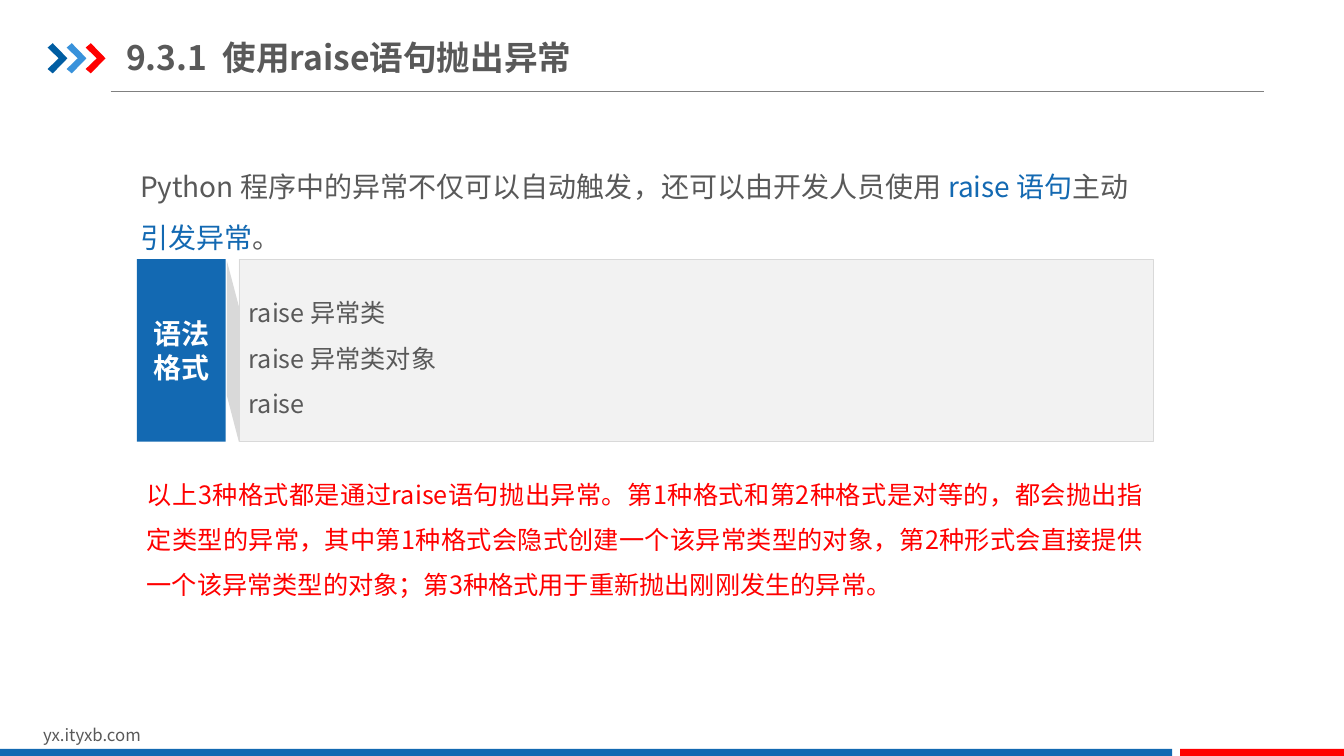
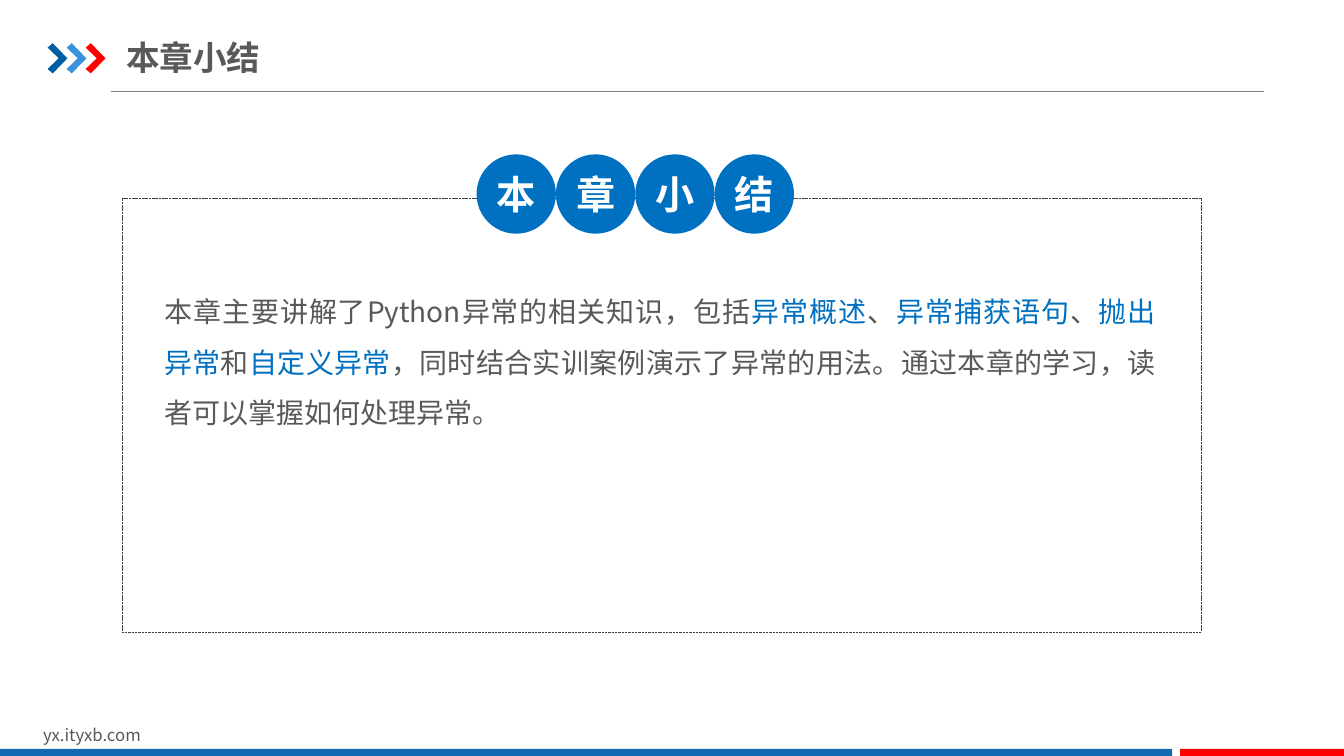
from dataclasses import dataclass

from lxml import etree
from pptx import Presentation
from pptx import util as u
from pptx.dml.color import RGBColor
from pptx.enum import dml, shapes, text
from pptx.oxml import ns


@dataclass(frozen=True)
class Theme:
    """Colours, font and type sizes that the slides share."""
    font: str = "Noto Sans CJK SC"
    blue: str = "1369B2"
    azure: str = "0070C0"
    navy: str = "005DA2"
    sky: str = "3992DB"
    red: str = "FF0000"
    ink: str = "595959"
    white: str = "FFFFFF"
    dark: str = "404040"
    rule: str = "808080"
    pale: str = "F2F2F2"
    edge: str = "D9D9D9"
    foot: int = 12
    code: int = 18
    body: int = 20
    title: int = 24
    badge: int = 28


T = Theme()
RECT = shapes.MSO_SHAPE.RECTANGLE
OVAL = shapes.MSO_SHAPE.OVAL
LEFT, MID, JUST = text.PP_ALIGN.LEFT, text.PP_ALIGN.CENTER, text.PP_ALIGN.JUSTIFY


def rgb(color):
    """Turn a hex string into a colour."""
    return RGBColor.from_string(color)


def write(shape, paras, size=T.body, color=T.ink, bold=False, align=LEFT,
          space=1.0, middle=False, pad=(0.25, 0.13)):
    """Fill a shape with paragraphs, each a list of strings or (string, colour)."""
    frame = shape.text_frame
    frame.word_wrap = True
    frame.margin_left = frame.margin_right = u.Cm(pad[0])
    frame.margin_top = frame.margin_bottom = u.Cm(pad[1])
    anchor = text.MSO_ANCHOR
    frame.vertical_anchor = anchor.MIDDLE if middle else anchor.TOP
    for i, runs in enumerate(paras):
        para = frame.add_paragraph() if i else frame.paragraphs[0]
        para.alignment, para.line_spacing = align, space
        for item in runs:
            words, tint = (item, color) if isinstance(item, str) else item
            run = para.add_run()
            run.text = words
            font = run.font
            font.name, font.size, font.bold = T.font, u.Pt(size), bold
            font.color.rgb = rgb(tint)
            east = etree.SubElement(run._r.get_or_add_rPr(), ns.qn("a:ea"))
            east.set("typeface", T.font)


def label(slide, box, paras, **style):
    """Add a text box."""
    write(slide.shapes.add_textbox(*map(u.Cm, box)), paras, **style)


def paint(shape, fill=None, line=None):
    """Set fill and thin outline, and drop the shadow."""
    shape.shadow.inherit = False
    if fill:
        shape.fill.solid()
        shape.fill.fore_color.rgb = rgb(fill)
    else:
        shape.fill.background()
    if line:
        shape.line.color.rgb = rgb(line)
        shape.line.width = u.Pt(0.25)
    else:
        shape.line.fill.background()
    return shape


def block(slide, box, fill=None, line=None, kind=RECT):
    """Add a preset shape."""
    return paint(slide.shapes.add_shape(kind, *map(u.Cm, box)), fill, line)


def outline(slide, points, fill):
    """Add a closed polygon."""
    first, *rest = [(u.Cm(x), u.Cm(y)) for x, y in points]
    pen = slide.shapes.build_freeform(*first)
    pen.add_line_segments(rest, close=True)
    return paint(pen.convert_to_shape(), fill)


def rule(slide, *ends):
    """Add the line below the title."""
    line = slide.shapes.add_connector(shapes.MSO_CONNECTOR.STRAIGHT,
                                      *map(u.Cm, ends))
    line.line.color.rgb = rgb(T.rule)
    line.line.width = u.Pt(0.75)
    etree.SubElement(line._element.spPr, ns.qn("a:effectLst"))


def page(deck, title):
    """Add a slide with the title, arrows, rule and footer."""
    slide = deck.slides.add_slide(deck.slide_layouts[6])
    rule(slide, 2.79, 2.31, 31.85, 2.31)
    arrow = [(0, 0.11), (0.13, 0), (0.5, 0.38), (0.13, 0.76), (0, 0.65), (0.28, 0.38)]
    for i, color in enumerate((T.navy, T.sky, T.red)):
        outline(slide, [(1.2 + 0.48 * i + x, 1.09 + y) for x, y in arrow], color)
    label(slide, (0.84, 18.14, 8.08, 0.76), [["yx.ityxb.com"]], size=T.foot)
    block(slide, (0, 18.87, 29.54, 0.23), T.blue)
    block(slide, (29.74, 18.87, 4.13, 0.23), T.red)
    label(slide, (3.18, 0.74, 15.75, 1.4), [[title]], size=T.title, bold=True,
          middle=True, pad=(0, 0.18))
    return slide


def syntax(slide, top, tall, lines):
    """Add the blue tab, the fold and the panel of syntax forms."""
    panel = block(slide, (6.02, top, 23.04, tall), T.pale, T.edge)
    write(panel, lines, size=T.code, space=1.5, middle=True)
    tab = block(slide, (3.45, top, 2.24, tall), T.blue)
    write(tab, [["语法"], ["格式"]], color=T.white, bold=True, align=MID, middle=True)
    low = top + tall
    outline(slide, [(6.02, top + 1.19), (6.02, low), (5.72, low - 1.15),
                    (5.72, top + 0.05)], T.edge)


def badges(slide, left, top, size, word):
    """Add a row of touching circles, one character each."""
    for i, char in enumerate(word):
        disc = block(slide, (left + size * i, top, size, size), T.azure, kind=OVAL)
        write(disc, [[char]], size=T.badge, color=T.white, bold=True, align=MID,
              middle=True, pad=(0, 0))


def throw(deck):
    """Build the slide on the raise statement."""
    slide = page(deck, "9.3.1  使用raise语句抛出异常")
    label(slide, (3.28, 3.73, 25.81, 2.67), [[
        "Python 程序中的异常不仅可以自动触发，还可以由开发人员使用",
        (" raise 语句", T.blue), "主动", ("引发异常", T.blue), "。"]], space=1.5)
    syntax(slide, 6.53, 4.6, [["raise 异常类"], ["raise 异常类对象"], ["raise"]])
    label(slide, (3.45, 11.56, 25.6, 3.58), [[
        "以上3种格式都是通过raise语句抛出异常。第1种格式和第2种格式是对等的，"
        "都会抛出指定类型的异常，其中第1种格式会隐式创建一个该异常类型的对象，"
        "第2种形式会直接提供一个该异常类型的对象；"
        "第3种格式用于重新抛出刚刚发生的异常。"]],
        size=T.code, color=T.red, align=JUST, space=1.5)


def recap(deck):
    """Build the chapter summary slide."""
    slide = page(deck, "本章小结")
    frame = block(slide, (3.07, 5, 27.2, 10.92), line=T.dark)
    frame.line.dash_style = dml.MSO_LINE.SQUARE_DOT
    label(slide, (4.14, 7.01, 24.99, 3.71), [[
        "本章主要讲解了Python异常的相关知识，包括", ("异常概述", T.azure), "、",
        ("异常捕获语句", T.azure), "、", ("抛出异常", T.azure), "和",
        ("自定义异常", T.azure),
        "，同时结合实训案例演示了异常的用法。通过本章的学习，读者可以掌握如何处理异常。"]],
        align=JUST, space=1.5, pad=(0, 0))
    badges(slide, 12.01, 3.89, 2, "本章小结")


def main():
    """Build and save the deck."""
    deck = Presentation()
    deck.slide_width, deck.slide_height = u.Cm(33.87), u.Cm(19.05)
    throw(deck)
    recap(deck)
    deck.save("out.pptx")


if __name__ == "__main__":
    main()
